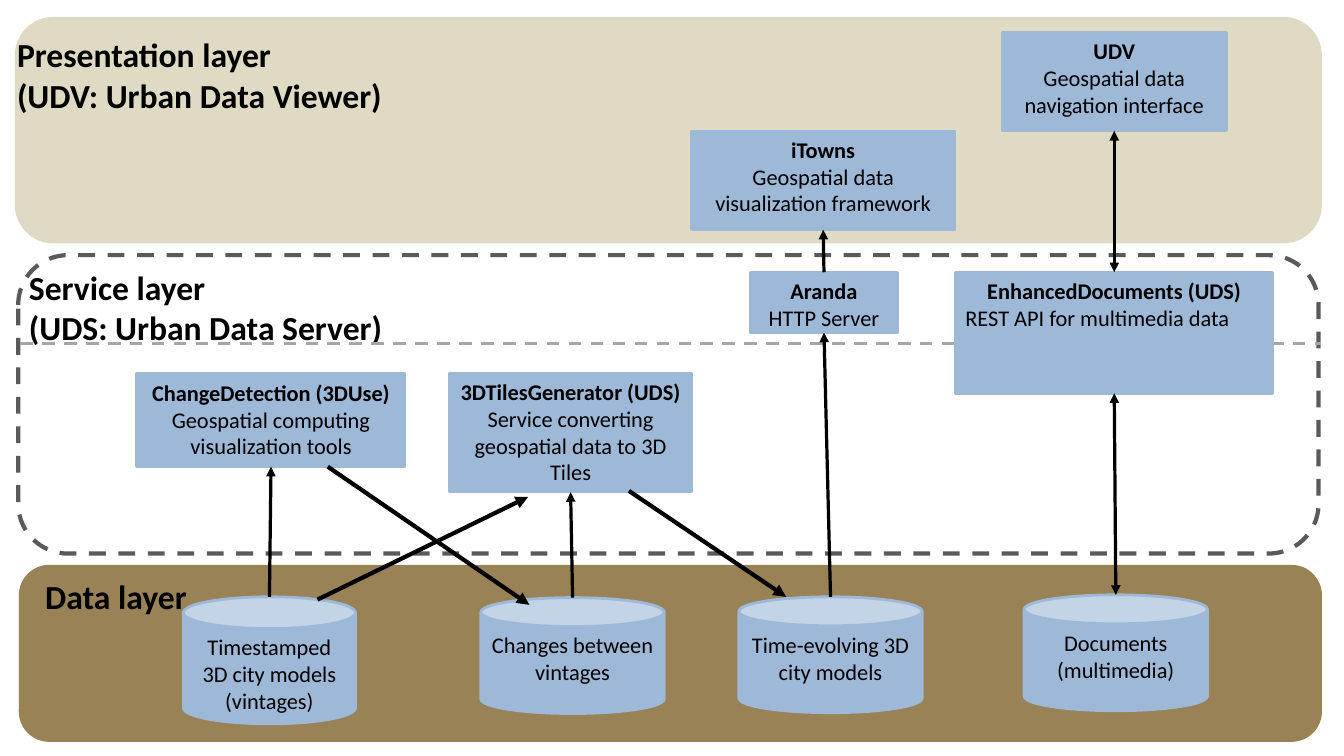
from lxml.etree import SubElement
from pptx import Presentation
from pptx.dml.color import RGBColor
from pptx.enum.dml import MSO_LINE
from pptx.enum.shapes import MSO_CONNECTOR, MSO_SHAPE
from pptx.enum.text import MSO_ANCHOR, PP_ALIGN
from pptx.oxml.ns import qn
from pptx.util import Cm, Pt

COLORS = {
    "presentation": "DEDAC3",
    "data": "988256",
    "service": "5A5A5A",
    "component": "9EB8D7",
    "divider": "A6A6A6",
    "ink": "000000",
}


def color(name):
    """Return the named colour."""
    return RGBColor.from_string(COLORS[name])


def write(frame, lines, size, align=PP_ALIGN.LEFT):
    """Write (text, bold) lines as paragraphs, anchored at the top."""
    frame.word_wrap = True
    frame.vertical_anchor = MSO_ANCHOR.TOP
    for index, (text, bold) in enumerate(lines):
        paragraph = frame.paragraphs[0] if index == 0 else frame.add_paragraph()
        paragraph.alignment = align
        run = paragraph.add_run()
        run.text = text
        run.font.name = "Calibri"
        run.font.size = Pt(size)
        run.font.bold = bold
        run.font.color.rgb = color("ink")


def add_block(slide, kind, box, tint, line_width=2, filled=True):
    """Add a flat shape whose outline and optional fill share one colour."""
    block = slide.shapes.add_shape(kind, *map(Cm, box))
    block.shadow.inherit = False
    if filled:
        block.fill.solid()
        block.fill.fore_color.rgb = color(tint)
    else:
        block.fill.background()
    block.line.color.rgb = color(tint)
    block.line.width = Pt(line_width)
    return block


def add_heading(slide, box, *lines):
    """Add the bold name of a layer."""
    heading = slide.shapes.add_textbox(*map(Cm, box))
    write(heading.text_frame, [(line, True) for line in lines], 24)


def add_component(slide, box, name, role):
    """Add a software component with its name and role."""
    component = add_block(slide, MSO_SHAPE.RECTANGLE, box, "component")
    write(component.text_frame, [(name, True), (role, False)], 16, PP_ALIGN.CENTER)
    return component


def add_store(slide, box, content):
    """Add a data store drawn as a can."""
    store = add_block(slide, MSO_SHAPE.CAN, box, "component")
    write(store.text_frame, [(content, False)], 16, PP_ALIGN.CENTER)
    return store


def add_line(slide, start, end, tint, width, ends=()):
    """Add a straight line with arrowheads at the given ends."""
    line = slide.shapes.add_connector(MSO_CONNECTOR.STRAIGHT, *start, *end)
    line.line.color.rgb = color(tint)
    line.line.width = Pt(width)
    outline = line.line._get_or_add_ln()
    for end_tag in ends:
        SubElement(outline, qn(end_tag), type="triangle")
    SubElement(line._element.spPr, qn("a:effectLst"))
    return line


def link(slide, lower, upper, both_ways=False):
    """Join the top of one block to the bottom of the block above it."""
    start = lower.left + lower.width // 2, lower.top
    end = upper.left + upper.width // 2, upper.top + upper.height
    ends = ("a:headEnd", "a:tailEnd") if both_ways else ("a:tailEnd",)
    add_line(slide, start, end, "ink", 2.3, ends)


def presentation_layer(slide, left, top, width, height):
    """Draw the presentation layer and return its components."""
    add_block(slide, MSO_SHAPE.ROUNDED_RECTANGLE, (left, top, width, height), "presentation")
    add_heading(slide, (left - 0.23, top + 0.28, 9.98, 2.29),
                "Presentation layer", "(UDV: Urban Data Viewer)")
    framework = add_component(slide, (left + 17.01, top + 2.84, 6.65, 2.49),
                              "iTowns", "Geospatial data visualization framework")
    viewer = add_component(slide, (left + 24.84, top + 0.35, 5.66, 2.49),
                           "UDV", "Geospatial data navigation interface")
    return framework, viewer


def service_layer(slide, left, top, width, height):
    """Draw the service layer and return its components."""
    panel = add_block(slide, MSO_SHAPE.ROUNDED_RECTANGLE, (left, top, width, height),
                      "service", 3, filled=False)
    panel.line.dash_style = MSO_LINE.DASH
    add_heading(slide, (left + 0.02, top + 0.17, 16.03, 2.29),
                "Service layer", "(UDS: Urban Data Server)")
    divider = add_line(slide, (Cm(left + 0.05), Cm(top + 2.22)),
                       (Cm(left + width + 0.05), Cm(top + 2.22)), "divider", 2.25)
    divider.line.dash_style = MSO_LINE.DASH
    web_server = add_component(slide, (left + 18.44, top + 0.43, 3.73, 1.52),
                               "Aranda", "HTTP Server")
    documents = add_component(slide, (left + 23.62, top + 0.43, 8, 3.05),
                              "EnhancedDocuments (UDS)", "REST API for multimedia data")
    documents.text_frame.paragraphs[1].alignment = PP_ALIGN.LEFT
    detection = add_component(slide, (left + 2.99, top + 2.99, 6.76, 2.34),
                              "ChangeDetection (3DUse)",
                              "Geospatial computing visualization tools")
    generator = add_component(slide, (left + 10.87, top + 2.97, 6.1, 3),
                              "3DTilesGenerator (UDS)",
                              "Service converting geospatial data to 3D Tiles")
    return web_server, documents, detection, generator


def data_layer(slide, left, top, width, height):
    """Draw the data layer and return its stores."""
    add_block(slide, MSO_SHAPE.ROUNDED_RECTANGLE, (left, top, width, height), "data")
    add_heading(slide, (left + 0.38, top + 0.11, 4.24, 1.27), "Data layer")
    stores = (
        (4.11, 0.77, 4.34, 3.2, "Timestamped 3D city models (vintages)"),
        (11.61, 0.79, 4.62, 2.92, "Changes between vintages"),
        (18.11, 0.77, 4.62, 2.92, "Time-evolving 3D city models"),
        (25.3, 0.72, 4.62, 2.92, "Documents (multimedia)"),
    )
    return [add_store(slide, (left + x, top + y, w, h), content)
            for x, y, w, h, content in stores]


def main():
    """Build the architecture slide."""
    deck = Presentation()
    deck.slide_width, deck.slide_height = Cm(33.87), Cm(19.05)
    slide = deck.slides.add_slide(deck.slide_layouts[6])

    framework, viewer = presentation_layer(slide, 0.41, 0.46, 32.87, 5.64)
    vintages, changes, evolving, media = data_layer(slide, 0.51, 14.27, 32.77, 4.39)
    web_server, documents, detection, generator = service_layer(
        slide, 0.46, 6.43, 32.77, 7.52)

    link(slide, web_server, framework)
    link(slide, evolving, web_server)
    link(slide, changes, generator)
    link(slide, vintages, detection)
    link(slide, documents, viewer, both_ways=True)
    link(slide, media, documents, both_ways=True)

    diagonal_flows = (
        (8.26, 11.76, 13.34, 15.24),
        (8, 15.11, 13.31, 12.52),
        (15.85, 12.37, 19.81, 15.04),
    )
    for x1, y1, x2, y2 in diagonal_flows:
        add_line(slide, (Cm(x1), Cm(y1)), (Cm(x2), Cm(y2)), "ink", 3, ("a:tailEnd",))

    deck.save("out.pptx")


if __name__ == "__main__":
    main()
